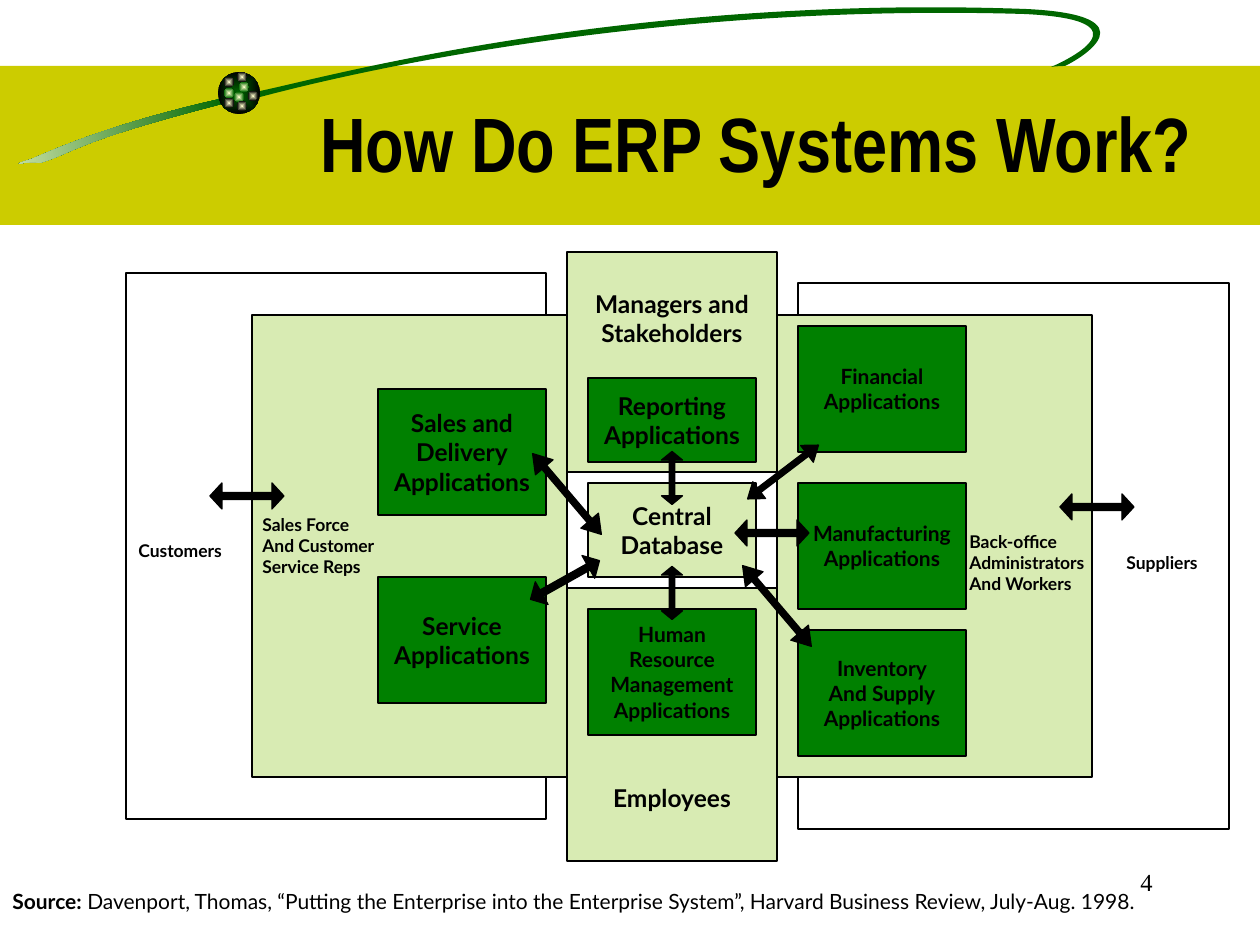
"""Build the slide that explains how ERP systems work."""
from dataclasses import dataclass
from math import cos, radians, sin
from typing import Optional

from lxml.etree import SubElement
from pptx import Presentation
from pptx.dml.color import RGBColor
from pptx.enum.shapes import MSO_SHAPE
from pptx.enum.text import MSO_ANCHOR, PP_ALIGN
from pptx.oxml.ns import qn
from pptx.util import Emu, Pt

PX = 914400 / 126
TILT = -8.5
BLACK = RGBColor(0x00, 0x00, 0x00)
WHITE = RGBColor(0xFF, 0xFF, 0xFF)
OLIVE = RGBColor(0xCC, 0xCC, 0x00)
FOREST = RGBColor(0x00, 0x66, 0x00)
GREEN = RGBColor(0x00, 0x80, 0x00)
PALE = RGBColor(0xD8, 0xEB, 0xB3)
CREAM = RGBColor(0xFF, 0xFF, 0xCC)
BODY_FONT = "Lato"


@dataclass(frozen=True)
class Panel:
    left: int
    top: int
    width: int
    height: int
    fill: RGBColor
    lines: tuple = ()
    size: int = 14
    anchor: MSO_ANCHOR = MSO_ANCHOR.MIDDLE
    inset: int = 6


@dataclass(frozen=True)
class Label:
    left: int
    top: int
    width: int
    height: int
    lines: tuple
    size: int = 10
    bold: bool = True
    font: str = BODY_FONT
    align: PP_ALIGN = PP_ALIGN.LEFT
    anchor: MSO_ANCHOR = MSO_ANCHOR.TOP
    lead: str = ""


@dataclass(frozen=True)
class Arrow:
    center_x: int
    center_y: int
    length: int
    thickness: int
    head: float
    angle: float = 0


@dataclass(frozen=True)
class Dot:
    left: int
    top: int
    edge: RGBColor = BLACK


@dataclass(frozen=True)
class Ribbon:
    left: int
    top: int
    width: int
    height: int
    knots: tuple
    to: Optional[RGBColor] = None


def application(left: int, top: int, *lines: str, size: int = 12, height: int = 126) -> Panel:
    return Panel(left, top, 168, height, GREEN, lines, size)


PANELS = (
    Panel(798, 283, 431, 546, WHITE),
    Panel(777, 315, 315, 462, PALE),
    Panel(126, 273, 420, 546, WHITE),
    Panel(567, 588, 210, 273, PALE, ("Employees",), anchor=MSO_ANCHOR.BOTTOM, inset=49),
    Panel(567, 252, 210, 220, PALE, ("Managers and", "Stakeholders"),
          anchor=MSO_ANCHOR.TOP, inset=37),
    Panel(588, 483, 168, 94, PALE, ("Central", "Database")),
    application(588, 378, "Reporting", "Applications", size=14, height=84),
    application(588, 609, "Human", "Resource", "Management", "Applications"),
    application(798, 326, "Financial", "Applications"),
    application(798, 483, "Manufacturing", "Applications"),
    application(798, 630, "Inventory", "And Supply", "Applications"),
    Panel(252, 315, 315, 462, PALE),
    application(378, 577, "Service", "Applications", size=14),
    application(378, 389, "Sales and", "Delivery", "Applications", size=14),
)
LABELS = (
    Label(253, 63, 1007, 157, ("How Do ERP Systems Work?",), 44, font="Arial Narrow",
          align=PP_ALIGN.CENTER, anchor=MSO_ANCHOR.MIDDLE),
    Label(250, 508, 149, 76, ("Sales Force", "And Customer", "Service Reps")),
    Label(126, 534, 118, 34, ("Customers",)),
    Label(957, 525, 156, 76, ("Back-office", "Administrators", "And Workers")),
    Label(1114, 546, 106, 34, ("Suppliers",)),
    Label(0, 883, 1226, 38,
          (" Davenport, Thomas, “Putting the Enterprise into the Enterprise System”, "
           "Harvard Business Review, July-Aug. 1998.",), 12, bold=False, lead="Source:"),
    Label(903, 861, 262, 63, ("4",), 14, bold=False, font="Times New Roman",
          align=PP_ALIGN.RIGHT),
)
ARROWS = (
    Arrow(672, 478, 53, 21, 0.41, 90),
    Arrow(672, 593, 53, 21, 0.41, 90),
    Arrow(565, 580, 79, 26, 0.49, 150.7),
    Arrow(772, 533, 74, 26, 0.46),
    Arrow(777, 606, 106, 23, 0.78, 49.6),
    Arrow(783, 472, 89, 21, 0.69, 142.8),
    Arrow(247, 496, 74, 26, 0.46),
    Arrow(1097, 507, 74, 26, 0.46),
    Arrow(567, 494, 106, 23, 0.78, 49.6),
)
DOTS = (Dot(239, 82, FOREST), Dot(224, 77), Dot(224, 88, FOREST), Dot(234, 92, FOREST),
        Dot(248, 91), Dot(237, 101), Dot(224, 98), Dot(237, 72))
RIBBONS = (
    Ribbon(-4, 115, 232, 38, (
        (224, 98), (115, 123), (62, 146), (32, 159), (1, 169), (33, 159), (39, 163),
        (72, 154), (72, 142), (226, 103)), PALE),
    Ribbon(253, -19, 902, 137, (
        (255, 92), (310, 82), (612, -6), (1026, 9), (1155, 15), (1080, 59), (1065, 66),
        (1065, 66), (1056, 66), (1051, 67), (1063, 62), (1154, 20), (1024, 14),
        (690, 4), (403, 59), (260, 97))),
)


def px(length: float) -> Emu:
    return Emu(round(length * PX))


def write_text(frame, lines: tuple, *, size: int, bold: bool = True, font: str = BODY_FONT,
               align: PP_ALIGN = PP_ALIGN.CENTER, anchor: MSO_ANCHOR = MSO_ANCHOR.MIDDLE,
               lead: str = "", inset: int = 6) -> None:
    frame.word_wrap = True
    frame.vertical_anchor = anchor
    frame.margin_top = px(inset if anchor == MSO_ANCHOR.TOP else 6)
    frame.margin_bottom = px(inset if anchor == MSO_ANCHOR.BOTTOM else 6)
    for index, line in enumerate(lines):
        paragraph = frame.add_paragraph() if index else frame.paragraphs[0]
        paragraph.alignment = align
        for words, heavy in ((lead, True), (line, bold)):
            if words:
                run = paragraph.add_run()
                run.text = words
                run.font.name, run.font.size, run.font.bold = font, Pt(size), heavy
                run.font.color.rgb = BLACK


def paint(shape, fill: RGBColor, *, outline: bool = False, to: Optional[RGBColor] = None,
          radial: bool = False) -> None:
    shape.shadow.inherit = False
    if to is None:
        shape.fill.solid()
        shape.fill.fore_color.rgb = fill
    else:
        shape.fill.gradient()
        shape.fill.gradient_angle = 180
        for stop, color in zip(shape.fill.gradient_stops, (fill, to)):
            stop.color.rgb = color
    if radial:
        gradient = shape._element.spPr.find(qn("a:gradFill"))
        gradient.remove(gradient.find(qn("a:lin")))
        center = SubElement(gradient, qn("a:path"), {"path": "rect"})
        SubElement(center, qn("a:fillToRect"), dict.fromkeys("ltrb", "50000"))
    if outline:
        shape.line.color.rgb = BLACK
        shape.line.width = Pt(0.75)
    else:
        shape.line.fill.background()


def add_preset(shapes, kind: MSO_SHAPE, left: float, top: float, width: int, height: int):
    return shapes.add_shape(kind, px(left), px(top), px(width), px(height))


def add_ribbon(shapes, ribbon: Ribbon) -> None:
    turn, half_w, half_h = radians(-TILT), ribbon.width / 2, ribbon.height / 2
    offsets = [(x - ribbon.left - half_w, y - ribbon.top - half_h) for x, y in ribbon.knots]
    knots = [(px(half_w + x * cos(turn) - y * sin(turn)),
              px(half_h + x * sin(turn) + y * cos(turn))) for x, y in offsets]
    builder = shapes.build_freeform(*knots[0])
    builder.add_line_segments(knots[1:], close=True)
    band = builder.convert_to_shape()
    band.left, band.top = px(ribbon.left), px(ribbon.top)
    band.width, band.height = px(ribbon.width), px(ribbon.height)
    band.rotation = TILT
    curve = next(band._element.iter(qn("a:path")))
    for child in list(curve):
        curve.remove(child)
    curve.set("w", str(band.width))
    curve.set("h", str(band.height))
    segments = [("a:moveTo", knots[:1])]
    segments += [("a:cubicBezTo", knots[i:i + 3]) for i in range(1, len(knots), 3)]
    for tag, points in segments:
        segment = SubElement(curve, qn(tag))
        for x, y in points:
            SubElement(segment, qn("a:pt"), x=str(int(x)), y=str(int(y)))
    SubElement(curve, qn("a:close"))
    paint(band, FOREST, to=ribbon.to)


def add_panel(shapes, panel: Panel) -> None:
    box = add_preset(shapes, MSO_SHAPE.RECTANGLE, panel.left, panel.top, panel.width, panel.height)
    paint(box, panel.fill, outline=True)
    if panel.lines:
        write_text(box.text_frame, panel.lines, size=panel.size, anchor=panel.anchor,
                   inset=panel.inset)


def add_label(shapes, label: Label) -> None:
    box = shapes.add_textbox(px(label.left), px(label.top), px(label.width), px(label.height))
    write_text(box.text_frame, label.lines, size=label.size, bold=label.bold, font=label.font,
               align=label.align, anchor=label.anchor, lead=label.lead)


def add_arrow(shapes, arrow: Arrow) -> None:
    pointer = add_preset(shapes, MSO_SHAPE.LEFT_RIGHT_ARROW, arrow.center_x - arrow.length / 2,
                         arrow.center_y - arrow.thickness / 2, arrow.length, arrow.thickness)
    pointer.adjustments[0], pointer.adjustments[1] = 0.27, arrow.head
    pointer.rotation = arrow.angle
    paint(pointer, BLACK, outline=True)


def add_dot(shapes, dot: Dot) -> None:
    paint(add_preset(shapes, MSO_SHAPE.OVAL, dot.left, dot.top, 10, 10), CREAM,
          to=dot.edge, radial=True)


def main() -> None:
    deck = Presentation()
    deck.slide_width, deck.slide_height = px(1260), px(945)
    shapes = deck.slides.add_slide(deck.slide_layouts[6]).shapes
    paint(add_preset(shapes, MSO_SHAPE.RECTANGLE, 0, 66, 1260, 159), OLIVE)
    for ribbon in RIBBONS:
        add_ribbon(shapes, ribbon)
    paint(add_preset(shapes, MSO_SHAPE.OVAL, 218, 72, 42, 42), FOREST, to=BLACK, radial=True)
    for items, draw in ((DOTS, add_dot), (PANELS, add_panel), (LABELS, add_label),
                        (ARROWS, add_arrow)):
        for item in items:
            draw(shapes, item)
    deck.save("out.pptx")


if __name__ == "__main__":
    main()
